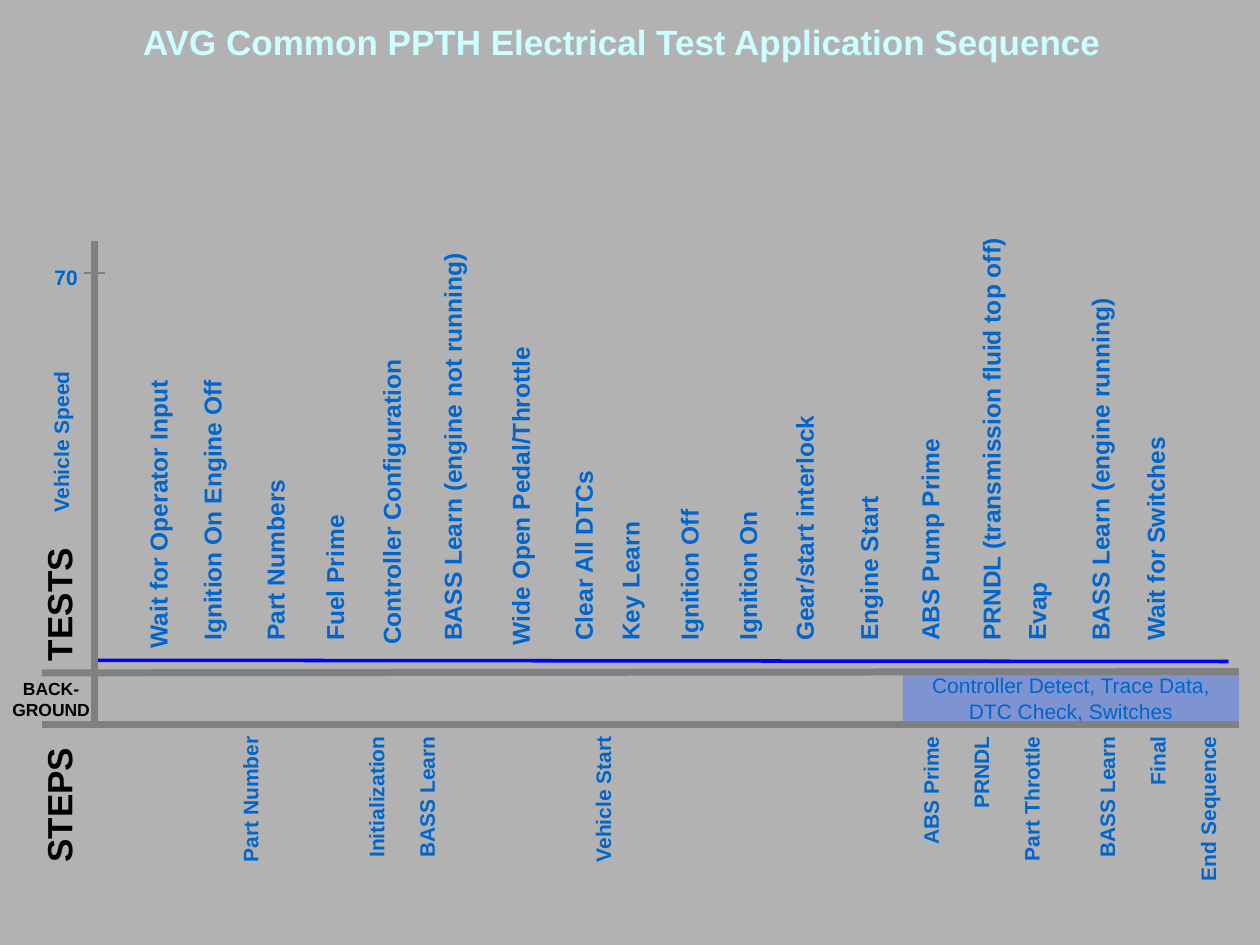
from dataclasses import dataclass

from lxml.etree import SubElement
from pptx import Presentation
from pptx.dml.color import RGBColor
from pptx.enum.shapes import MSO_CONNECTOR, MSO_SHAPE
from pptx.enum.text import MSO_ANCHOR, MSO_AUTO_SIZE, PP_ALIGN
from pptx.oxml.ns import qn
from pptx.util import Pt


@dataclass(frozen=True)
class Theme:
    font: str = "Arial"
    page: str = "B2B2B2"
    title: str = "CCFFFF"
    label: str = "0066CC"
    heading: str = "000000"
    axis: str = "808080"
    baseline: str = "0000FF"
    band: str = "3366FF"
    band_opacity: int = 40
    large: float = 20
    medium: float = 14
    small: float = 12
    tiny: float = 10


THEME = Theme()


@dataclass(frozen=True)
class Upright:
    """A label that reads upwards, starting at its foot."""
    text: str
    centre: float
    length: float
    foot: float = 373.2
    size: float = THEME.medium
    color: str = THEME.label
    rotation: float = 270


@dataclass(frozen=True)
class Rule:
    start: tuple[float, float]
    end: tuple[float, float]
    color: str
    width: float


@dataclass(frozen=True)
class Step:
    text: str
    empty_rows: int = 0


TESTS = [
    Upright("Wait for Operator Input", 90.4, 171, foot=377.7),
    Upright("Ignition On Engine Off", 121.3, 169),
    Upright("Part Numbers", 157.3, 188),
    Upright("Fuel Prime", 191.2, 166),
    Upright("Controller Configuration", 223.6, 220, foot=375.5),
    Upright("BASS Learn (engine not running)", 258.5, 246),
    Upright("Wide Open Pedal/Throttle", 297.4, 233, foot=375.8),
    Upright("Clear All DTCs", 333.4, 114),
    Upright("Key Learn", 360, 85),
    Upright("Ignition Off", 393.8, 101),
    Upright("Ignition On", 427.3, 92),
    Upright("Gear/start interlock", 459.7, 147),
    Upright("Engine Start", 496.4, 100),
    Upright("ABS Pump Prime", 531.4, 133),
    Upright("PRNDL (transmission fluid top off)", 566.3, 248),
    Upright("Evap", 593.3, 152, rotation=270.9),
    Upright("BASS Learn (engine running)", 628.6, 228),
    Upright("Wait for Switches", 660.2, 140),
]

SIDE_LABELS = [
    Upright("Vehicle Speed", 34.9, 99, 299.9, THEME.small),
    Upright("TESTS", 33.5, 82, 384.8, THEME.large, THEME.heading),
    Upright("STEPS", 33.5, 84, 500, THEME.large, THEME.heading),
]

RULES = [
    Rule((54, 377.3), (702, 378), THEME.baseline, 2),
    Rule((54, 137.5), (54, 414), THEME.axis, 4),
    Rule((48, 156), (60, 156), THEME.axis, 1.5),
    Rule((24, 414), (708, 414), THEME.axis, 4),
    Rule((24, 384.5), (708, 383.8), THEME.axis, 4),
]

STEPS = [
    Step("Part Number"), Step("Initialization", 4), Step("BASS Learn", 1),
    Step("Vehicle Start", 6), Step("ABS Prime", 12), Step("PRNDL", 1),
    Step("Part Throttle", 1), Step("BASS Learn", 2), Step("Final", 1),
    Step("End Sequence", 1),
]
STEP_ROW = 14.4


def write(shape, lines: list[str], size: float, color: str,
          align=PP_ALIGN.LEFT, bold: bool = True) -> None:
    frame = shape.text_frame
    for index, line in enumerate(lines):
        para = frame.paragraphs[0] if index == 0 else frame.add_paragraph()
        para.text = line
        para.alignment = align
        para.font.name = THEME.font
        para.font.size = Pt(size)
        para.font.bold = bold
        para.font.color.rgb = RGBColor.from_string(color)


def add_text(page, left: float, top: float, width: float, height: float,
             lines: list[str], size: float, color: str,
             align=PP_ALIGN.LEFT):
    box = page.shapes.add_textbox(Pt(left), Pt(top), Pt(width), Pt(height))
    box.text_frame.word_wrap = True
    box.text_frame.auto_size = MSO_AUTO_SIZE.SHAPE_TO_FIT_TEXT
    write(box, lines, size, color, align)
    return box


def add_upright(page, label: Upright) -> None:
    height = round(label.size * 1.2 + 7.4, 1)
    left = label.centre - label.length / 2
    top = label.foot - label.length / 2 - height / 2
    box = add_text(page, left, top, label.length, height,
                   [label.text], label.size, label.color)
    box.rotation = label.rotation


def add_rule(page, rule: Rule) -> None:
    line = page.shapes.add_connector(
        MSO_CONNECTOR.STRAIGHT, *map(Pt, rule.start + rule.end))
    line.line.color.rgb = RGBColor.from_string(rule.color)
    line.line.width = Pt(rule.width)
    SubElement(line._element.spPr, qn("a:effectLst"))


def add_background_band(page) -> None:
    band = page.shapes.add_shape(
        MSO_SHAPE.RECTANGLE, Pt(516), Pt(384), Pt(192), Pt(30))
    band.shadow.inherit = False
    band.line.fill.background()
    band.fill.solid()
    band.fill.fore_color.rgb = RGBColor.from_string(THEME.band)
    color = band._element.spPr.find(qn("a:solidFill"))[0]
    SubElement(color, qn("a:alpha"), val=str(THEME.band_opacity * 1000))
    band.text_frame.word_wrap = False
    band.text_frame.vertical_anchor = MSO_ANCHOR.MIDDLE
    write(band, ["Controller Detect, Trace Data,", "DTC Check, Switches"],
          THEME.small, THEME.label, PP_ALIGN.CENTER, bold=False)


def add_background_label(page) -> None:
    box = add_text(page, 0, 383.8, 58.4, 31.7, ["BACK-", "GROUND"],
                   THEME.tiny, THEME.heading, PP_ALIGN.CENTER)
    box.text_frame.margin_left = box.text_frame.margin_right = Pt(3)


def add_steps(page) -> None:
    """Add the steps as one turned box, spaced along the sequence."""
    box = add_text(page, 344.9, 200.9, 157.7, 583.2,
                   [step.text for step in STEPS],
                   THEME.small, THEME.label, PP_ALIGN.RIGHT)
    box.text_frame.auto_size = MSO_AUTO_SIZE.NONE
    box.rotation = 270
    for para, step in zip(box.text_frame.paragraphs, STEPS):
        if step.empty_rows:
            para.space_before = Pt(step.empty_rows * STEP_ROW)


def main() -> None:
    deck = Presentation()
    deck.slide_width, deck.slide_height = Pt(720), Pt(540)
    page = deck.slides.add_slide(deck.slide_layouts[6])
    page.background.fill.solid()
    page.background.fill.fore_color.rgb = RGBColor.from_string(THEME.page)

    add_background_band(page)
    add_background_label(page)
    for rule in RULES:
        add_rule(page, rule)
    add_text(page, 24, 147.6, 30, 21.6, ["70"], THEME.small, THEME.label)
    for label in SIDE_LABELS + TESTS:
        add_upright(page, label)
    add_text(page, 69, 8.3, 573, 31,
             ["AVG Common PPTH Electrical Test Application Sequence"],
             THEME.large, THEME.title, PP_ALIGN.CENTER)
    add_steps(page)
    deck.save("out.pptx")


if __name__ == "__main__":
    main()
